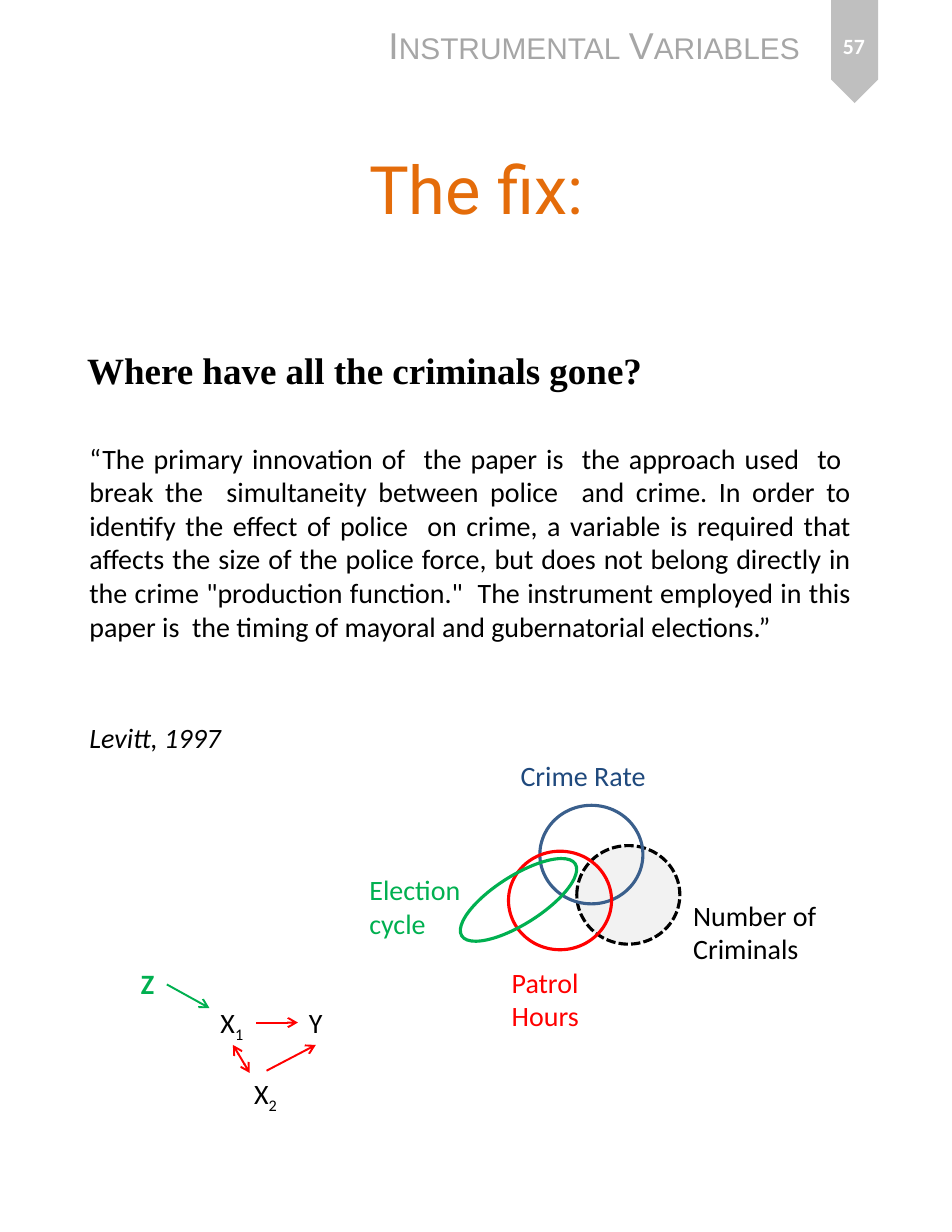
from dataclasses import dataclass

from lxml.etree import SubElement
from pptx import Presentation
from pptx.dml.color import RGBColor
from pptx.enum.dml import MSO_LINE
from pptx.enum.shapes import MSO_CONNECTOR, MSO_SHAPE
from pptx.enum.text import MSO_ANCHOR, MSO_AUTO_SIZE, PP_ALIGN
from pptx.oxml.ns import qn
from pptx.util import Inches, Pt

COLUMNS, ROWS = 85, 110
CELL = Inches(0.1)
BLACK, WHITE, RED, GREEN, BLUE = "000000", "FFFFFF", "FF0000", "00B050", "3A5F8C"
QUOTE = (
    "“The primary innovation of  the paper is  the approach used  to  break the  "
    "simultaneity between police  and crime. In order to identify the effect of police  "
    "on crime, a variable is required that affects the size of the police force, but does "
    'not belong directly in the crime "production function."  The instrument employed in '
    "this paper is  the timing of mayoral and gubernatorial elections.”"
)


@dataclass
class Box:
    """An area of the slide, measured in grid columns and rows."""
    left: float
    top: float
    width: float
    height: float

    def inner(self, left, top, width, height):
        return Box(self.left + left, self.top + top, width, height)

    def point(self, column, row):
        return round((self.left + column) * CELL), round((self.top + row) * CELL)

    def frame(self):
        return [round(value * CELL) for value in (self.left, self.top, self.width, self.height)]


def color(hex_string):
    return RGBColor.from_string(hex_string)


def add_run(paragraph, text, size, hex_color, name="Calibri", bold=False, italic=False):
    run = paragraph.add_run()
    run.text = text
    font = run.font
    font.name, font.size, font.bold, font.italic = name, Pt(size), bold, italic
    font.color.rgb = color(hex_color)
    return run


def add_text_box(slide, box, wrap=True, anchor=MSO_ANCHOR.TOP):
    """Add an empty text box and return its text frame."""
    frame = slide.shapes.add_textbox(*box.frame()).text_frame
    frame.word_wrap = wrap
    frame.vertical_anchor = anchor
    return frame


def add_label(slide, box, text, hex_color, subscript="", bold=False, wrap=True):
    paragraph = add_text_box(slide, box, wrap).paragraphs[0]
    for index, line in enumerate(text.split("\n")):
        if index:
            paragraph.add_line_break()
        add_run(paragraph, line, 18, hex_color, bold=bold)
    if subscript:
        run = add_run(paragraph, subscript, 18, hex_color)
        run.font._element.set("baseline", "-25000")


def add_plain_shape(slide, kind, box, fill=None, line=None, rotation=0):
    shape = slide.shapes.add_shape(kind, *box.frame())
    shape.shadow.inherit = False
    shape.rotation = rotation
    if fill:
        shape.fill.solid()
        shape.fill.fore_color.rgb = color(fill)
    else:
        shape.fill.background()
    if line:
        shape.line.color.rgb = color(line)
        shape.line.width = Pt(2)
    else:
        shape.line.fill.background()
    return shape


def add_arrow(slide, start, end, hex_color, both_ends=False):
    connector = slide.shapes.add_connector(MSO_CONNECTOR.STRAIGHT, *start, *end)
    connector.line.color.rgb = color(hex_color)
    connector.line.width = Pt(1.25)
    properties = connector._element.spPr
    line = properties.find(qn("a:ln"))
    for tag in ("a:headEnd", "a:tailEnd") if both_ends else ("a:tailEnd",):
        SubElement(line, qn(tag)).set("type", "arrow")
    SubElement(properties, qn("a:effectLst"))


def build_header(slide, box):
    add_plain_shape(slide, MSO_SHAPE.PENTAGON, box.inner(38, 2.5, 9.2, 4.2), "BFBFBF", rotation=90)
    heading = add_text_box(slide, box.inner(0, 1.5, 38.9, 5), wrap=False)
    run = add_run(heading.paragraphs[0], "Instrumental Variables", 24, "A6A6A6", "Arial")
    run.font._element.set("cap", "small")
    number = add_text_box(slide, box.inner(39.2, 1.1, 6.7, 5.9), anchor=MSO_ANCHOR.MIDDLE)
    number.paragraphs[0].alignment = PP_ALIGN.CENTER
    add_run(number.paragraphs[0], "57", 14, WHITE, bold=True)


def build_title(slide, box):
    title = slide.shapes.title
    title.left, title.top, title.width, title.height = box.frame()
    frame = title.text_frame
    frame.auto_size = MSO_AUTO_SIZE.NONE
    frame.vertical_anchor = MSO_ANCHOR.TOP
    frame.paragraphs[0].alignment = PP_ALIGN.CENTER
    add_run(frame.paragraphs[0], "The fix:", 42.9, "E46C0A", "Roboto")


def build_quotation(slide, box):
    """Add the question, the quoted passage and its author."""
    question = add_text_box(slide, box.inner(0, 0, 72.1, 15.9), anchor=MSO_ANCHOR.BOTTOM)
    add_run(question.paragraphs[0], "Where have all the criminals gone?", 23.8, BLACK,
            "Times New Roman", bold=True)
    passage = add_text_box(slide, box.inner(0.2, 19.3, 70, 29))
    quote = passage.paragraphs[0]
    quote.alignment = PP_ALIGN.JUSTIFY
    add_run(quote, QUOTE, 18, BLACK)
    author = passage.add_paragraph()
    author.space_before = Pt(50)
    add_run(author, "Levitt, 1997", 18, BLACK, italic=True)


def build_venn_diagram(slide, box):
    circles = (
        (19.5, 8.3, "F2F2F2", BLACK),
        (16.2, 4.7, None, BLUE),
        (13.4, 8.8, None, RED),
    )
    for left, top, fill, line in circles:
        circle = add_plain_shape(slide, MSO_SHAPE.OVAL, box.inner(left, top, 9.2, 8.8), fill, line)
        if fill:
            circle.line.dash_style = MSO_LINE.SQUARE_DOT
    add_plain_shape(slide, MSO_SHAPE.OVAL, box.inner(8.3, 11, 12, 4.3), line=GREEN, rotation=327.6)
    labels = (
        ("Crime Rate", "1F497D", 13.5, 0, 14, 4),
        ("Patrol Hours", RED, 12.7, 18.5, 8.2, 7.1),
        ("Number of\nCriminals", BLACK, 28.9, 12.5, 14.2, 7.1),
        ("Election cycle", GREEN, 0, 10.2, 11.4, 7.1),
    )
    for text, hex_color, *place in labels:
        add_label(slide, box.inner(*place), text, hex_color)


def build_path_diagram(slide, box):
    add_label(slide, box.inner(0, 0, 3.2, 4), "Z", GREEN, bold=True, wrap=False)
    variables = (("Y", "", 15, 3.5, 3.2), ("X", "1", 7.1, 3.5, 4.2), ("X", "2", 10.1, 9.8, 4.2))
    for text, subscript, left, top, width in variables:
        add_label(slide, box.inner(left, top, width, 4), text, BLACK, subscript, wrap=False)
    arrows = (
        ((11.3, 5.5), (15, 5.5), RED, False),
        ((12.2, 9.8), (16.6, 7.5), RED, False),
        ((9.2, 7.5), (10.7, 10), RED, True),
        ((3.3, 2.1), (7.1, 4.2), GREEN, False),
    )
    for start, end, hex_color, both_ends in arrows:
        add_arrow(slide, box.point(*start), box.point(*end), hex_color, both_ends)


def main():
    presentation = Presentation()
    presentation.slide_width = COLUMNS * CELL
    presentation.slide_height = ROWS * CELL
    slide = presentation.slides.add_slide(presentation.slide_layouts.get_by_name("Title Only"))
    build_header(slide, Box(33.7, 0, 47.2, 9.2))
    build_title(slide, Box(4.3, 12.7, 76.5, 18.3))
    build_quotation(slide, Box(6.8, 19.6, 72.1, 48.3))
    build_venn_diagram(slide, Box(32, 67.2, 43.1, 25.6))
    build_path_diagram(slide, Box(11.6, 85.8, 18.2, 13.8))
    presentation.save("out.pptx")


if __name__ == "__main__":
    main()
